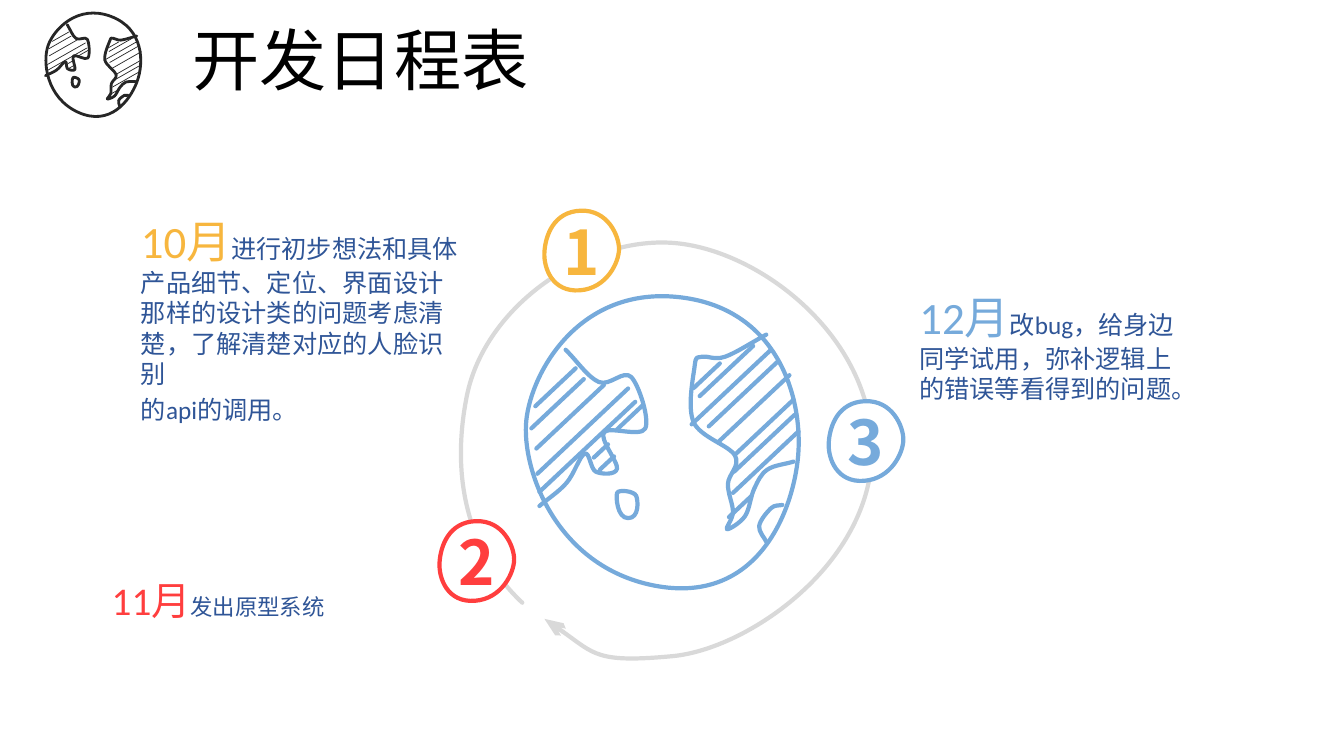
from math import cos, radians, sin

from lxml.etree import SubElement as Sub
from pptx import Presentation
from pptx.dml.color import RGBColor as Rgb
from pptx.enum.text import MSO_ANCHOR as Anchor, MSO_AUTO_SIZE as Fit, PP_ALIGN as Align
from pptx.oxml.ns import qn
from pptx.util import Inches, Pt

INK = {"black": "000000", "white": "FFFFFF", "dark": "262626", "gray": "D9D9D9",
       "blue": "76AADB", "navy": "2F5597", "red": "FF3E3E", "gold": "F7B63E"}

# A node is (x, y), or (x, y, dx, dy) where dx, dy is the handle that sets its bend.
# The globe, in inches, around its hub:
HUB = (6.57, 4.37)
RIM = [(5.22, 4.17, 0.05, -0.48), (6.75, 2.95, 1, 0.12),
       (7.91, 4.58, -0.07, 0.57), (6.49, 5.81, -0.98, -0.19)]
WEST = [(5.61, 3.47), (5.94, 3.79), (6.26, 3.74), (6.4, 4.25), (5.99, 4.29),
        (6.12, 4.65), (5.91, 4.68), (5.8, 4.5), (5.62, 4.79), (5.35, 5.02)]
EAST = [(7.6, 3.32), (7.19, 3.54), (6.96, 3.54), (6.89, 3.63), (6.88, 4.19),
        (7.29, 4.52), (7.22, 4.8), (7.27, 5.08), (7.21, 5.25), (7.39, 5.12),
        (7.48, 4.85), (7.61, 4.66), (7.87, 4.58)]
ISLE = [(6.12, 4.89), (6.31, 4.92, 0.02, 0.05), (6.23, 5.14, -0.11, 0)]
CAPE = [(7.76, 5.01), (7.65, 5.04), (7.53, 5.22), (7.61, 5.39)]

# Hatching strokes share one slope; each is the x, y of its low end and its run.
SLOPE = -0.94
WEST_HATCH = [(5.31, 4.03, 0.4), (5.27, 4.25, 0.52), (5.32, 4.45, 0.67),
              (5.33, 4.7, 0.9), (5.35, 4.88, 0.95), (6.12, 4.26, 0.25),
              (5.89, 4.54, 0.14), (5.95, 4.66, 0.14)]
EAST_HATCH = [(6.88, 3.85, 0.26), (6.94, 3.93, 0.53), (6.86, 4.21, 0.78),
              (7.03, 4.23, 0.68), (7.13, 4.38, 0.7), (7.29, 4.51, 0.58),
              (7.28, 4.68, 0.6), (7.27, 4.89, 0.65), (7.23, 5.13, 0.22)]

ORBIT = [(5.18, 5.98, -0.48, -0.45), (4.63, 3.93, 0.18, -0.9), (6.67, 2.41, 0.85, 0.06),
         (8.65, 4.46, 0, 1.13), (6.67, 6.51, -0.75, 0.07), (5.4, 6.14, -0.47, -0.32)]
RING = [(0.74, 0.38, 0, -0.13), (0.36, 0, -0.27, 0.01),
        (0, 0.41, -0.01, 0.16), (0.35, 0.79, 0.27, -0.02)]

BADGES = [("2", 4.36, 5.17, "red"), ("1", 5.4, 2.09, "gold"), ("3", 8.22, 3.98, "blue")]
NOTES = [
    ((1.3, 2.07, 3.44, 2.21), "10月", "gold", 32, 18,
     ["进⾏初步想法和具体产品细节、定位、界⾯设计那样的设计类的问题考虑清楚，了解清楚对应的⼈脸识别",
      "的api的调⽤。"]),
    ((1.01, 5.67, 2.94, 0.57), "11月", "red", 28, 16, ["发出原型系统"]),
    ((9.02, 2.82, 2.94, 1.25), "12月", "blue", 32, 18,
     ["改bug，给⾝边同学试⽤，弥补逻辑上的错误等看得到的问题。"]),
]


def handle(nodes, i, close):
    """The node's own handle; else a sixth of the step between its neighbours,
    or a third of the only step at an open end."""
    if len(nodes[i]) == 4:
        return nodes[i][2:]
    last = len(nodes) - 1
    if close:
        prev, after, part = nodes[i - 1], nodes[(i + 1) % len(nodes)], 6
    else:
        prev, after = nodes[max(i - 1, 0)], nodes[min(i + 1, last)]
        part = 3 if i in (0, last) else 6
    return (after[0] - prev[0]) / part, (after[1] - prev[1]) / part


def smooth(nodes, close):
    """Points of a smooth curve: the start, then two controls and an end per bend."""
    tips = [(*node[:2], *handle(nodes, i, close)) for i, node in enumerate(nodes)]
    if close:
        tips.append(tips[0])
    dots = [tips[0][:2]]
    for (x, y, dx, dy), (to_x, to_y, to_dx, to_dy) in zip(tips, tips[1:]):
        dots += [(x + dx, y + dy), (to_x - to_dx, to_y - to_dy), (to_x, to_y)]
    return dots


def turn(dots, hub, to, size, angle):
    """Scale and rotate dots about hub, then move hub to a new place."""
    c, s = size * cos(radians(angle)), size * sin(radians(angle))
    return [(to[0] + (x - hub[0]) * c - (y - hub[1]) * s,
             to[1] + (x - hub[0]) * s + (y - hub[1]) * c) for x, y in dots]


class Deck:
    def __init__(self):
        self.show = Presentation()
        self.show.slide_width, self.show.slide_height = Inches(13.33), Inches(7.5)
        self.slide = self.show.slides.add_slide(self.show.slide_layouts[5])
        self.font = "Calibri"

    def run(self, para, text, size, ink, font=None, bold=False):
        run = para.add_run()
        run.text = text
        run.font.name, run.font.size, run.font.bold = font or self.font, Pt(size), bold
        run.font.color.rgb = Rgb.from_string(INK[ink])

    def title(self, text, *area):
        box = self.slide.shapes.title
        box.left, box.top, box.width, box.height = map(Inches, area)
        frame = box.text_frame
        frame.word_wrap, frame.auto_size = False, Fit.SHAPE_TO_FIT_TEXT
        frame.vertical_anchor = Anchor.TOP
        para = frame.paragraphs[0]
        para.alignment = Align.LEFT
        self.run(para, text, 48, "black")

    def curve(self, dots, ink, width, close=False, fill=None, arrow=False):
        dots = [(Inches(x), Inches(y)) for x, y in dots]
        pen = self.slide.shapes.build_freeform(*dots[0], scale=1.0)
        pen.add_line_segments(dots[3::3], close=close)
        shape = pen.convert_to_shape()
        shape.shadow.inherit = False
        if fill:
            shape.fill.solid()
            shape.fill.fore_color.rgb = Rgb.from_string(INK[fill])
        else:
            shape.fill.background()
        shape.line.color.rgb = Rgb.from_string(INK[ink])
        shape.line.width = Pt(width)
        line = shape._element.spPr.find(qn("a:ln"))
        line.set("cap", "rnd")
        Sub(line, qn("a:round"))
        if arrow:
            Sub(line, qn("a:tailEnd"), type="arrow", len="lg")
        self.bend(shape, dots)
        return shape

    def bend(self, shape, dots):
        """Swap each straight leg of the outline for a cubic curve."""
        track = next(shape._element.spPr.iter(qn("a:path")))
        for i, leg in enumerate(track.findall(qn("a:lnTo"))):
            cubic = Sub(track, qn("a:cubicBezTo"))
            for x, y in dots[3 * i + 1:3 * i + 4]:
                Sub(cubic, qn("a:pt"), x=str(x - shape.left), y=str(y - shape.top))
            track.replace(leg, cubic)

    def globe(self, to, size, angle, ink, thick, thin):
        def draw(nodes, width, close=False):
            self.curve(turn(smooth(nodes, close), HUB, to, size, angle), ink, width, close)

        for loop in (RIM, ISLE):
            draw(loop, thick, True)
        for coast in (WEST, EAST, CAPE):
            draw(coast, thick)
        for x, y, run in WEST_HATCH + EAST_HATCH:
            draw([(x, y), (x + run, y + run * SLOPE)], thin)

    def badge(self, text, x, y, ink):
        dots = [(x + a, y + b) for a, b in smooth(RING, True)]
        frame = self.curve(dots, ink, 3, True, "white").text_frame
        frame.word_wrap, frame.vertical_anchor = True, Anchor.MIDDLE
        para = frame.paragraphs[0]
        para.alignment = Align.CENTER
        self.run(para, text, 44, ink, "Noto Sans CJK JP", True)

    def note(self, area, month, ink, big, small, lines):
        frame = self.slide.shapes.add_textbox(*map(Inches, area)).text_frame
        frame.word_wrap, frame.auto_size = True, Fit.SHAPE_TO_FIT_TEXT
        for i, text in enumerate(lines):
            para = frame.add_paragraph() if i else frame.paragraphs[0]
            para.space_before = Pt(4)
            if i == 0:
                self.run(para, month, big, ink)
            self.run(para, text, small, "navy")


def main():
    deck = Deck()
    deck.globe((0.92, 0.63), 0.35, 13.6, "dark", 2, 0.5)
    deck.title("开发⽇程表", 1.81, 0.13, 3.57, 0.91)
    deck.globe(HUB, 1, 0, "blue", 3, 3)
    deck.curve(smooth(ORBIT, False), "gray", 3, arrow=True)
    for badge in BADGES:
        deck.badge(*badge)
    for note in NOTES:
        deck.note(*note)
    deck.show.save("out.pptx")


if __name__ == "__main__":
    main()
